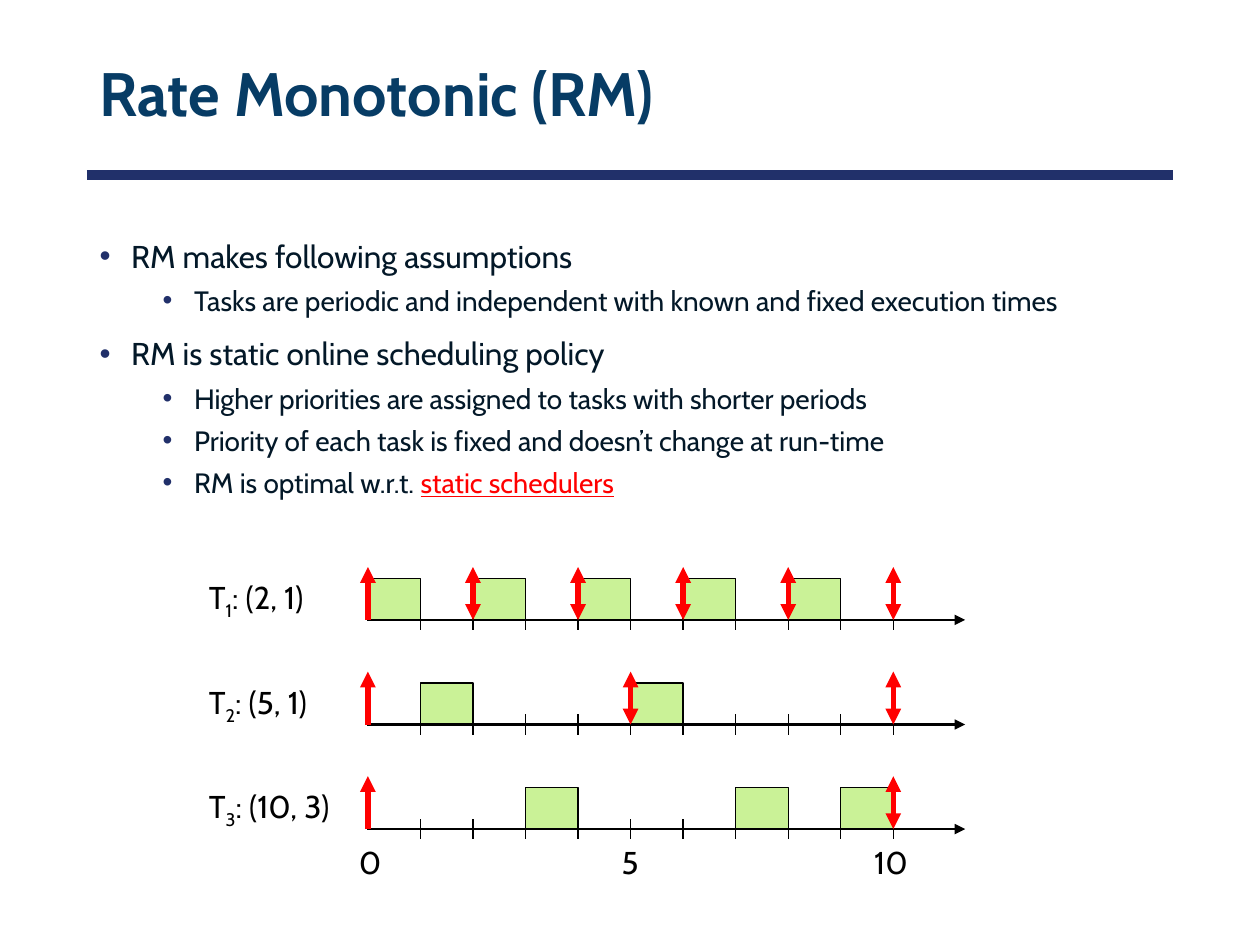
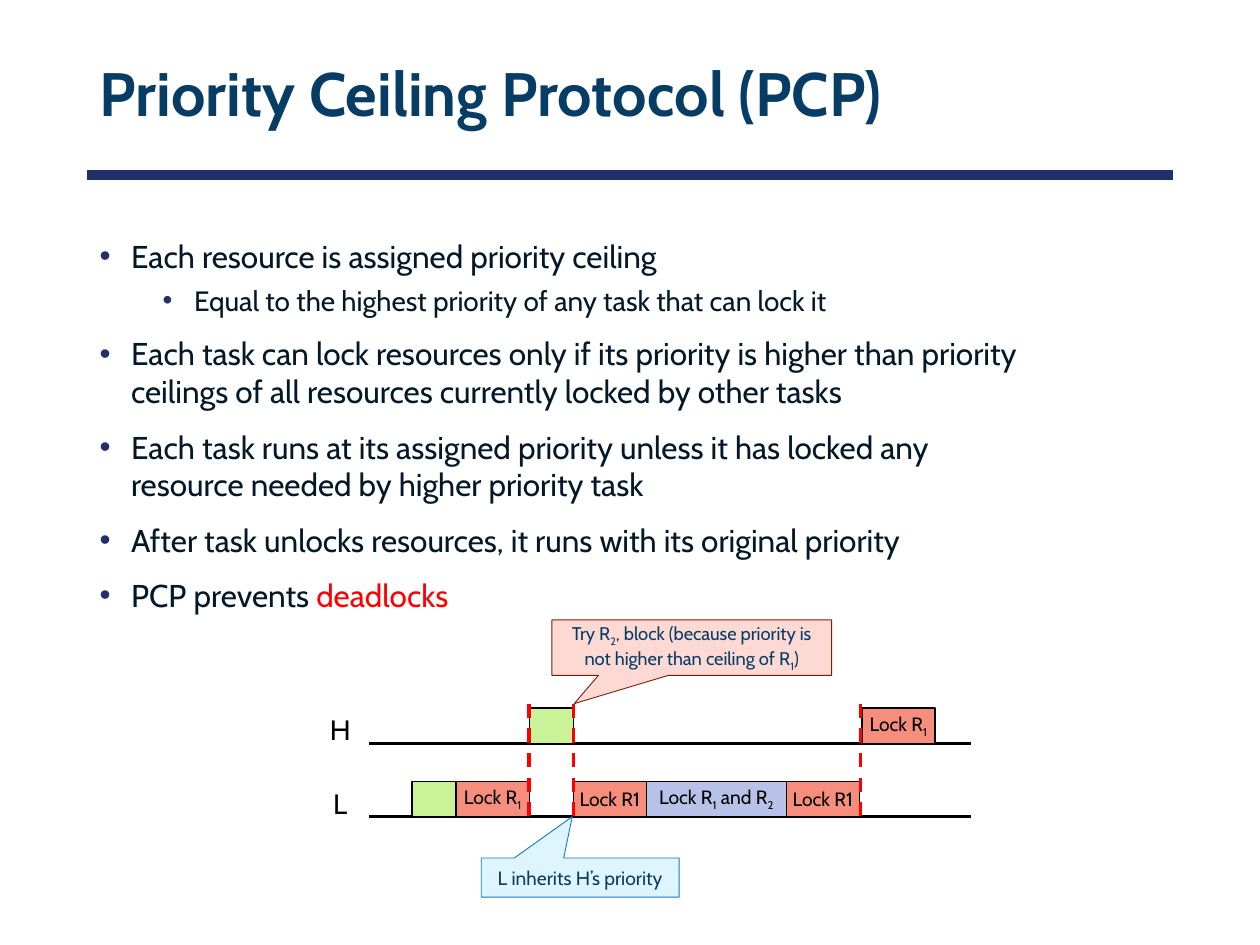
from lxml import etree
from pptx import Presentation
from pptx.dml.color import RGBColor
from pptx.enum import dml, shapes, text
from pptx.oxml import ns
from pptx.util import Inches, Pt

FONT = "Cabin"
COLORS = {
    "title": "073C65", "body": "031828", "rule": "21306A", "ink": "000000",
    "alert": "FF0000", "run": "CAF297", "lock": "F78D7C", "both": "B8C2E9",
    "blocked": "FCD9D3", "blocked_edge": "821A08",
    "inherit": "DFF5FD", "inherit_edge": "0D79CA",
}
TITLE_BOX = (0.69, 0.23, 8.62, 1.08)
BODY_BOX = (0.69, 1.83, 8.62, 5.43)
BULLET_STYLES = [(0.25, 18, 10), (0.75, 16, 5)]

RM_BULLETS = [
    (0, "RM makes following assumptions", ""),
    (1, "Tasks are periodic and independent with known and fixed execution times", ""),
    (0, "RM is static online scheduling policy", ""),
    (1, "Higher priorities are assigned to tasks with shorter periods", ""),
    (1, "Priority of each task is fixed and doesn’t change at run-time", ""),
    (1, "RM is optimal w.r.t. ", "static schedulers"),
]
PCP_BULLETS = [
    (0, "Each resource is assigned priority ceiling", ""),
    (1, "Equal to the highest priority of any task that can lock it", ""),
    (0, "Each task can lock resources only if its priority is higher than priority \n"
        "ceilings of all resources currently locked by other tasks", ""),
    (0, "Each task runs at its assigned priority unless it has locked any \n"
        "resource needed by higher priority task", ""),
    (0, "After task unlocks resources, it runs with its original priority", ""),
    (0, "PCP prevents ", "deadlocks"),
]
TASKS = [
    ("T_1: (2, 1)", 2, [0, 2, 4, 6, 8]),
    ("T_2: (5, 1)", 5, [1, 5]),
    ("T_3: (10, 3)", 10, [3, 7, 9]),
]


def rgb(name):
    """Return the named colour."""
    return RGBColor.from_string(COLORS[name])


def box(left, top, width, height):
    """Convert a box in inches to lengths."""
    return [Inches(side) for side in (left, top, width, height)]


def add_run(paragraph, wording, size, color):
    """Append a run in the deck's font."""
    run = paragraph.add_run()
    run.text = wording
    run.font.name = FONT
    run.font.size = Pt(size)
    run.font.color.rgb = rgb(color)
    return run


def add_label(paragraph, label, size, color="ink"):
    """Append runs, lowering the character after each underscore."""
    lead, *rest = label.split("_")
    add_run(paragraph, lead, size, color)
    for piece in rest:
        index = add_run(paragraph, piece[0], size, color)
        index.font._element.set("baseline", "-25000")
        if piece[1:]:
            add_run(paragraph, piece[1:], size, color)


def add_line(slide, start, end, color, width, head=False, tail=False):
    """Draw a straight line with optional arrowheads."""
    line = slide.shapes.add_connector(
        shapes.MSO_CONNECTOR.STRAIGHT, *[Inches(v) for v in (*start, *end)])
    line.line.color.rgb = rgb(color)
    line.line.width = Pt(width)
    properties = line._element.spPr
    for wanted, tag in ((head, "a:headEnd"), (tail, "a:tailEnd")):
        if wanted:
            etree.SubElement(properties.ln, ns.qn(tag), type="triangle")
    etree.SubElement(properties, ns.qn("a:effectLst"))
    return line


def add_caption(slide, place, label, size, align=text.PP_ALIGN.LEFT):
    """Place a one-line caption."""
    frame = slide.shapes.add_textbox(*box(*place)).text_frame
    frame.word_wrap = False
    frame.paragraphs[0].alignment = align
    add_label(frame.paragraphs[0], label, size)


def add_block(slide, place, fill, label="", edge="ink", width=0.75, size=11,
              ink="ink", kind=shapes.MSO_SHAPE.RECTANGLE, wrap=False):
    """Draw a filled, outlined block with a centred label."""
    block = slide.shapes.add_shape(kind, *box(*place))
    block.shadow.inherit = False
    block.fill.solid()
    block.fill.fore_color.rgb = rgb(fill)
    block.line.color.rgb = rgb(edge)
    block.line.width = Pt(width)
    if label:
        frame = block.text_frame
        frame.word_wrap = wrap
        frame.vertical_anchor = text.MSO_ANCHOR.MIDDLE
        frame.paragraphs[0].alignment = text.PP_ALIGN.CENTER
        add_label(frame.paragraphs[0], label, size, ink)
    return block


def add_callout(slide, place, fill, label, size, tip):
    """Draw a callout pointing at the tip, given in shares of its size."""
    callout = add_block(slide, place, fill, label, fill + "_edge", 0.5, size, "title",
                        shapes.MSO_SHAPE.RECTANGULAR_CALLOUT, True)
    for index, share in enumerate(tip):
        callout.adjustments[index] = share


def place_placeholder(placeholder, place):
    """Move a placeholder and return its text frame."""
    placeholder.left, placeholder.top, placeholder.width, placeholder.height = box(*place)
    placeholder.text_frame.auto_size = text.MSO_AUTO_SIZE.NONE
    return placeholder.text_frame


def add_title(slide, title):
    """Write the title and the rule under it."""
    frame = place_placeholder(slide.shapes.title, TITLE_BOX)
    frame.vertical_anchor = text.MSO_ANCHOR.MIDDLE
    heading = frame.paragraphs[0]
    heading.alignment = text.PP_ALIGN.LEFT
    heading.line_spacing = 0.9
    add_run(heading, title, 35, "title").font.bold = True
    add_line(slide, (0.69, 1.39), (9.31, 1.39), "rule", 6)


def add_bullet(paragraph, indent):
    """Give a paragraph a hanging coloured bullet."""
    properties = paragraph._p.get_or_add_pPr()
    properties.set("marL", str(Inches(indent)))
    properties.set("indent", str(Inches(-0.25)))
    tint = etree.SubElement(properties, ns.qn("a:buClr"))
    etree.SubElement(tint, ns.qn("a:srgbClr"), val=COLORS["rule"])
    etree.SubElement(properties, ns.qn("a:buFont"), typeface="Arial")
    etree.SubElement(properties, ns.qn("a:buChar"), char="•")


def add_bullets(slide, bullets):
    """Fill the body with a two-level list."""
    frame = place_placeholder(slide.placeholders[1], BODY_BOX)
    for number, (level, wording, emphasis) in enumerate(bullets):
        point = frame.add_paragraph() if number else frame.paragraphs[0]
        indent, size, gap = BULLET_STYLES[level]
        point.level = level
        add_bullet(point, indent)
        point.space_before = Pt(gap if number else 0)
        for row, part in enumerate(wording.split("\n")):
            if row:
                point.add_line_break()
            add_run(point, part, size, "body")
        if emphasis:
            stressed = add_run(point, emphasis, size, "alert")
            stressed.font.underline = True if level else None


def add_schedule(slide, left, top, span):
    """Draw each task's time axis with its executions and releases."""
    unit, pitch, rise = span / 10, 0.83, 0.42
    for row, (label, period, slots) in enumerate(TASKS):
        base = top + rise + row * pitch
        for slot in slots:
            add_block(slide, (left + slot * unit, base - 0.33, unit, 0.33), "run")
        for tick in range(1, 11):
            x = left + tick * unit
            add_line(slide, (x, base - 0.08), (x, base + 0.08), "ink", 0.75)
        add_line(slide, (left - 0.01, base), (left + span + 0.57, base), "ink", 1.5, tail=True)
        add_caption(slide, (left - 1.36, base - 0.38, 1.17, 0.4), label, 18)
        for release in range(0, 11, period):
            x = left + release * unit
            add_line(slide, (x, base), (x, base - rise), "alert", 3, release > 0, True)
    for time in (0, 5, 10):
        x = left + time * unit - 0.09 - 0.08 * len(str(time))
        add_caption(slide, (x, base + 0.06, 0.67, 0.4), str(time), 18)


def add_lock_timeline(slide, left, top, width):
    """Draw tasks H and L with their locks and handovers."""
    high, low = top + 0.34, top + 0.92
    green, lock = (0.35, "run", ""), (0.58, "lock", "Lock R_1")
    plain_lock = (0.58, "lock", "Lock R1")
    both = (1.11, "both", "Lock R_1 and R_2")
    for name, base in (("H", high), ("L", low)):
        add_line(slide, (left, base), (left + width, base), "ink", 1.5)
        add_caption(slide, (left - 0.41, base - 0.29, 0.36, 0.37), name, 16,
                    text.PP_ALIGN.CENTER)
    sequences = [
        (high, 1.27, [green]), (high, 3.91, [lock]),
        (low, 0.34, [green, lock]), (low, 1.62, [plain_lock, both, plain_lock]),
    ]
    for base, start, blocks in sequences:
        x = left + start
        for length, fill, label in blocks:
            add_block(slide, (x, base - 0.28, length, 0.28), fill, label)
            x += length
    for handover in (1.27, 1.62, 3.9):
        x = left + handover
        dashes = add_line(slide, (x, low), (x, top), "alert", 2)
        dashes.line.dash_style = dml.MSO_LINE.DASH
    add_callout(slide, (left + 1.45, top - 0.64, 2.22, 0.44), "blocked",
                "Try R_2, block (because priority is not higher than ceiling of R_1)",
                10.5, (-0.42, 1.01))
    add_callout(slide, (left + 0.89, low + 0.33, 1.57, 0.31), "inherit",
                "L inherits H’s priority", 11, (-0.04, -1.56))


def add_content_slide(deck, title, bullets):
    """Add a slide with a title, a rule and a list."""
    slide = deck.slides.add_slide(deck.slide_layouts[1])
    add_title(slide, title)
    add_bullets(slide, bullets)
    return slide


def main():
    """Build the deck."""
    deck = Presentation()
    deck.slide_width, deck.slide_height = Inches(10), Inches(7.5)
    rate_monotonic = add_content_slide(deck, "Rate Monotonic (RM)", RM_BULLETS)
    add_schedule(rate_monotonic, 2.92, 4.5, 4.17)
    ceiling = add_content_slide(deck, "Priority Ceiling Protocol (PCP)", PCP_BULLETS)
    add_lock_timeline(ceiling, 2.93, 5.56, 4.78)
    deck.save("out.pptx")


if __name__ == "__main__":
    main()
